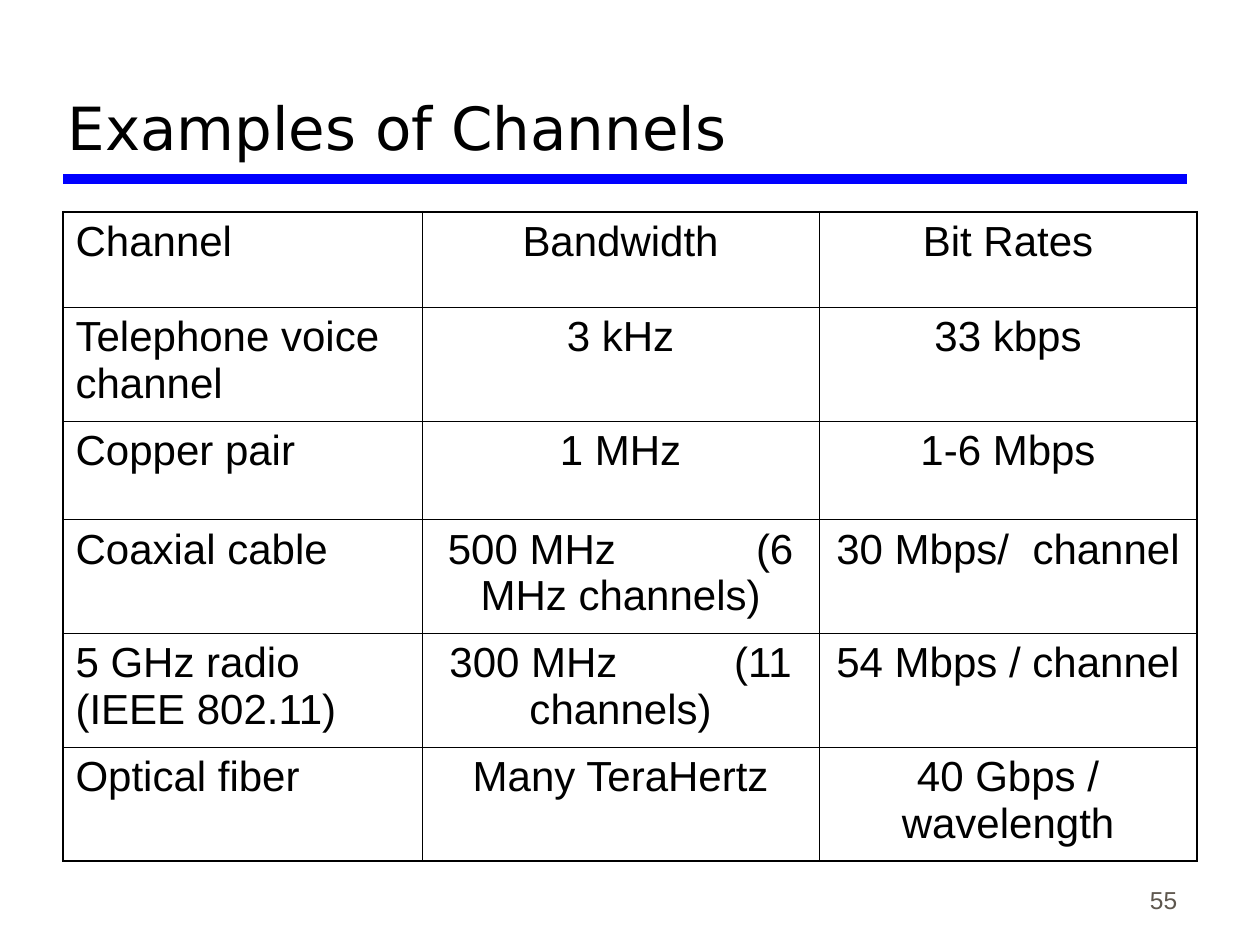
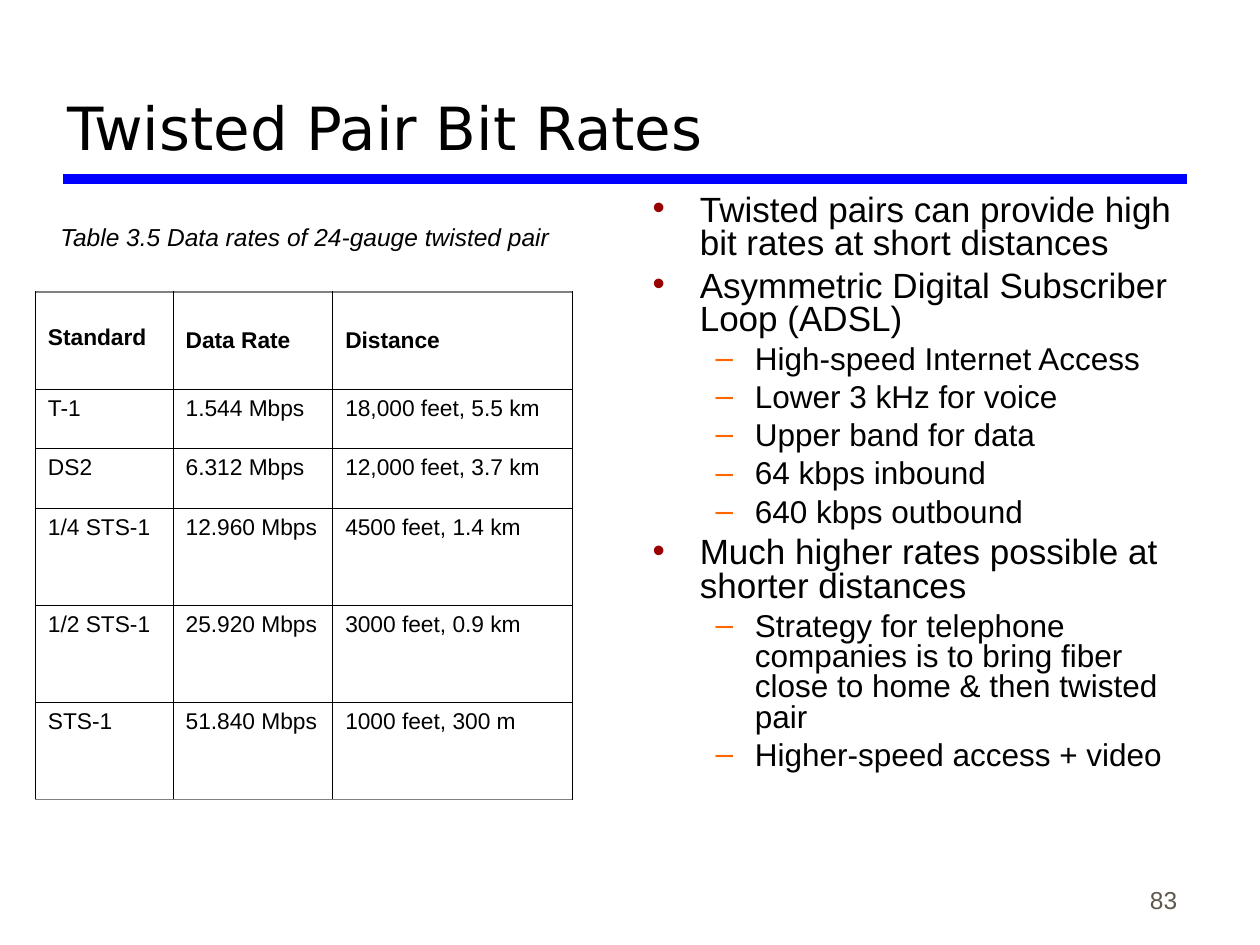
from lxml import etree
from pptx import Presentation
from pptx import util as u
from pptx.dml.color import RGBColor
from pptx.enum import shapes, text
from pptx.oxml.ns import qn

Pt = u.Pt
HUES = {"ink": "000000", "rule": "0000FF", "page": "5E574E", "edge": "808080",
        "dot": "990000", "dash": "FF6600"}
ALIGN, ANCHOR = text.PP_ALIGN, text.MSO_ANCHOR
BASE = {"name": "Arial", "size": Pt(24), "bold": False, "italic": False}
HEAD = BASE | {"name": "DejaVu Sans", "size": Pt(34)}
NOTE = BASE | {"size": Pt(14)}
CELL = BASE | {"size": Pt(13)}
THIN = ("ink", 0.45)
LEVELS = [
    {"mark": "•", "hue": "dot", "size": 20, "left": 27, "hang": 27, "gap": 5},
    {"mark": "–", "hue": "dash", "size": 18, "left": 58.5, "hang": 22.5, "gap": 4.5},
]
CHANNELS = [
    ("Channel", "Bandwidth", "Bit Rates"),
    ("Telephone voice channel", "3 kHz", "33 kbps"),
    ("Copper pair", "1 MHz", "1-6 Mbps"),
    ("Coaxial cable", ("500 MHz", 73.4, "(6 MHz channels)"), ("30 Mbps/", 6.7, "channel")),
    ("5 GHz radio (IEEE 802.11)", ("300 MHz", 60, "(11 channels)"), "54 Mbps / channel"),
    ("Optical fiber", "Many TeraHertz", "40 Gbps / wavelength"),
]
RATES = [
    ("Standard", "Data Rate", "Distance"),
    ("T-1", "1.544 Mbps", "18,000 feet, 5.5 km"),
    ("DS2", "6.312 Mbps", "12,000 feet, 3.7 km"),
    ("1/4 STS-1", "12.960 Mbps", "4500 feet, 1.4 km"),
    ("1/2 STS-1", "25.920 Mbps", "3000 feet, 0.9 km"),
    ("STS-1", "51.840 Mbps", "1000 feet, 300 m"),
]
POINTS = [
    (0, "Twisted pairs can provide high bit rates at short distances"),
    (0, "Asymmetric Digital Subscriber Loop (ADSL)"),
    (1, "High-speed Internet Access"),
    (1, "Lower 3 kHz for voice"),
    (1, "Upper band for data"),
    (1, "64 kbps inbound"),
    (1, "640 kbps outbound"),
    (0, "Much higher rates possible at shorter distances"),
    (1, "Strategy for telephone companies is to bring fiber close to home & then twisted pair"),
    (1, "Higher-speed access + video"),
]


def put(obj, vals):
    """Set each named value on an object."""
    for key, val in vals.items():
        setattr(obj, key, val)


def write(para, words, look, hue="ink"):
    """Add one run in the given look and return it."""
    run = para.add_run()
    run.text = words
    put(run.font, look)
    run.font.color.rgb = RGBColor.from_string(HUES[hue])
    return run


def frame(slide, box, anchor):
    """Add a wrapping text box and return its text frame."""
    area = slide.shapes.add_textbox(*map(Pt, box)).text_frame
    put(area, {"word_wrap": True, "vertical_anchor": anchor})
    return area


def label(slide, box, words, look, hue="ink", anchor=ANCHOR.BOTTOM, align=ALIGN.LEFT):
    """Place a single line of text in a box."""
    para = frame(slide, box, anchor).paragraphs[0]
    para.alignment = align
    write(para, words, look, hue)


def base(deck, title, page):
    """Add a slide with its rule, page number and title."""
    slide = deck.slides.add_slide(deck.slide_layouts[6])
    rule = slide.shapes.add_connector(shapes.MSO_CONNECTOR.STRAIGHT,
                                      Pt(36), Pt(102.2), Pt(678.2), Pt(102.2))
    rule.line.color.rgb = RGBColor.from_string(HUES["rule"])
    rule.line.width = Pt(6)
    etree.SubElement(rule._element.spPr, qn("a:effectLst"))
    label(slide, (530, 490.3, 149.8, 36), page, NOTE, "page", align=ALIGN.RIGHT)
    label(slide, (31.7, 12.2, 645.8, 84.2), title, HEAD)
    return slide


def tint(parent, tag, hue):
    """Add an element that holds one colour."""
    node = etree.SubElement(parent, qn(tag))
    etree.SubElement(node, qn("a:srgbClr"), val=HUES[hue])


def edge(cell, side, hue, width):
    """Draw one border of a cell."""
    line = etree.SubElement(cell._tc.get_or_add_tcPr(), qn("a:ln" + side), w=str(Pt(width)))
    tint(line, "a:solidFill", hue)


def fill(para, item, look):
    """Write cell text, widening the space inside a split item."""
    if isinstance(item, str):
        write(para, item, look)
        return
    left, gap, right = item
    write(para, left, look)
    space = write(para, " ", look)
    space.font._element.set("spc", str(round(gap * 100)))
    write(para, right, look)


def grid(slide, spot, cols, rows, data, look, outer, aligns):
    """Build a ruled table at a spot and return it."""
    size = (sum(cols), sum(rows))
    table = slide.shapes.add_table(len(rows), len(cols), *map(Pt, spot + size)).table
    put(table, {"first_row": False, "horz_banding": False})
    for col, width in zip(table.columns, cols):
        col.width = Pt(width)
    for r, (row, high) in enumerate(zip(data, rows)):
        table.rows[r].height = Pt(high)
        for c, item in enumerate(row):
            cell = table.cell(r, c)
            rim = {"L": c == 0, "R": c == len(cols) - 1, "T": r == 0, "B": r == len(rows) - 1}
            for side, last in rim.items():
                edge(cell, side, *(outer.get(side, THIN) if last else THIN))
            cell.fill.background()
            para = cell.text_frame.paragraphs[0]
            para.alignment = aligns[c]
            fill(para, item, look)
    return table


def points(slide, box, items):
    """Fill a box with two levels of bullets."""
    area = frame(slide, box, ANCHOR.TOP)
    for n, (depth, words) in enumerate(items):
        kind = LEVELS[depth]
        para = area.add_paragraph() if n else area.paragraphs[0]
        prop = para._p.get_or_add_pPr()
        prop.set("marL", str(Pt(kind["left"])))
        prop.set("indent", str(-Pt(kind["hang"])))
        tint(prop, "a:buClr", kind["hue"])
        etree.SubElement(prop, qn("a:buFont"), typeface="Arial")
        etree.SubElement(prop, qn("a:buChar"), char=kind["mark"])
        put(para, {"level": depth, "line_spacing": 0.8,
                   "space_before": Pt(kind["gap"] if n else 0)})
        write(para, words, BASE | {"size": Pt(kind["size"])})


def media(deck):
    """Build the slide that compares channels."""
    slide = base(deck, "Examples of Channels", "55")
    grid(slide, (36, 121), (205.2, 226.8, 216), (54.8, 65, 56.2, 65, 65, 65), CHANNELS,
         BASE, dict.fromkeys("LRTB", ("ink", 1.08)),
         (ALIGN.LEFT, ALIGN.CENTER, ALIGN.CENTER))


def pairs(deck):
    """Build the slide on twisted pair rates."""
    slide = base(deck, "Twisted Pair Bit Rates", "83")
    points(slide, (365.8, 108, 314.6, 369.4), POINTS)
    label(slide, (27.4, 123.1, 297.4, 24.5), "Table 3.5 Data rates of 24-gauge twisted pair",
          NOTE | {"italic": True}, anchor=ANCHOR.MIDDLE)
    table = grid(slide, (20.2, 167), (78.7, 91.2, 136.8), (55.5, 34, 34, 55.5, 55.5, 55.5),
                 RATES, CELL, dict.fromkeys("TB", ("edge", 0.96)), (ALIGN.LEFT,) * 3)
    for cell in table.rows[0].cells:
        cell.vertical_anchor = ANCHOR.MIDDLE
        cell.text_frame.paragraphs[0].runs[0].font.bold = True
    put(table.cell(0, 0), {"vertical_anchor": ANCHOR.TOP, "margin_top": Pt(18.5)})


def main():
    """Build and save the deck."""
    deck = Presentation()
    put(deck, {"slide_width": Pt(720), "slide_height": Pt(540)})
    media(deck)
    pairs(deck)
    deck.save("out.pptx")


if __name__ == "__main__":
    main()
